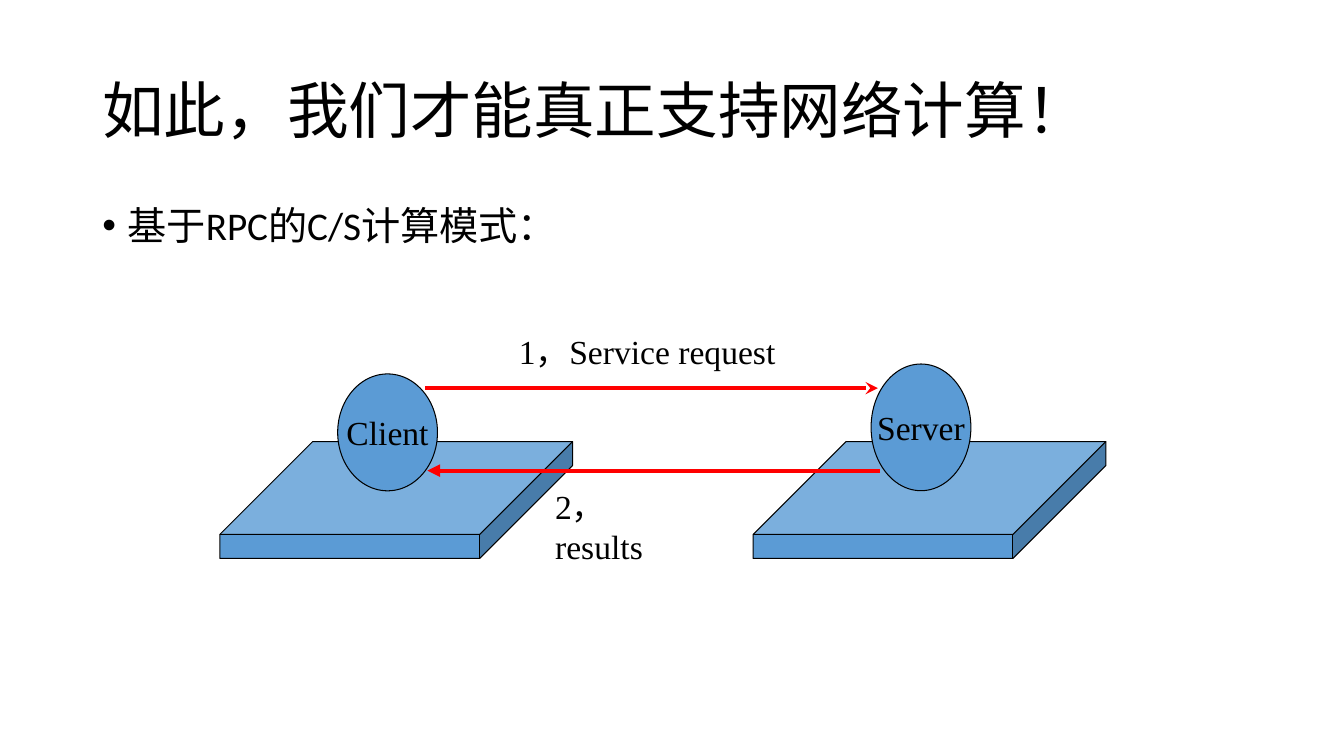
from lxml import etree
from pptx import Presentation
from pptx.dml.color import RGBColor
from pptx.enum.shapes import MSO_CONNECTOR, MSO_SHAPE
from pptx.enum.text import MSO_ANCHOR, PP_ALIGN
from pptx.oxml.ns import qn
from pptx.util import Pt

CUBE = MSO_SHAPE.CUBE
ELLIPSE = MSO_SHAPE.OVAL
STRAIGHT = MSO_CONNECTOR.STRAIGHT
TOP = MSO_ANCHOR.TOP
MIDDLE = MSO_ANCHOR.MIDDLE
LEFT = PP_ALIGN.LEFT
CENTER = PP_ALIGN.CENTER


def color(value):
    return RGBColor.from_string(value)


def write_text(shape, text, size=24, font="Times New Roman", anchor=TOP,
               align=LEFT, wrap=True, line_spacing=1.0, bullet=None, indent=18):
    frame = shape.text_frame
    frame.word_wrap = wrap
    frame.vertical_anchor = anchor
    paragraph = frame.paragraphs[0]
    paragraph.text = text
    paragraph.alignment = align
    paragraph.line_spacing = line_spacing
    if bullet:
        properties = paragraph._p.get_or_add_pPr()
        properties.set("marL", str(Pt(indent)))
        properties.set("indent", str(-Pt(indent)))
        etree.SubElement(properties, qn("a:buFont")).set("typeface", "Arial")
        etree.SubElement(properties, qn("a:buChar")).set("char", bullet)
    run_font = paragraph.runs[0].font
    run_font.size = Pt(size)
    run_font.name = font
    run_font.color.rgb = color("000000")


class SlideBuilder:
    """Draws elements in one shared style on the current slide."""

    fill = "5B9BD5"
    outline = "000000"
    arrow_color = "FF0000"

    def __init__(self, slide):
        self.shapes = slide.shapes

    def text(self, left, top, width, height, text, **style):
        box = self.shapes.add_textbox(Pt(left), Pt(top), Pt(width), Pt(height))
        write_text(box, text, **style)

    def solid(self, kind, left, top, width, height):
        shape = self.shapes.add_shape(kind, Pt(left), Pt(top), Pt(width), Pt(height))
        shape.shadow.inherit = False
        shape.fill.solid()
        shape.fill.fore_color.rgb = color(self.fill)
        shape.line.color.rgb = color(self.outline)
        shape.line.width = Pt(0.75)
        return shape

    def platform(self, left):
        self.solid(CUBE, left, 315.4, 252, 83.5).adjustments[0] = 0.795

    def node(self, left, top, height, name):
        ellipse = self.solid(ELLIPSE, left, top, 71.3, height)
        write_text(ellipse, name, anchor=MIDDLE, align=CENTER, wrap=False)

    def arrow(self, start, end, y, head):
        connector = self.shapes.add_connector(STRAIGHT, Pt(start), Pt(y), Pt(end), Pt(y))
        connector.line.color.rgb = color(self.arrow_color)
        connector.line.width = Pt(3)
        line = connector.line._get_or_add_ln()
        etree.SubElement(line, qn("a:tailEnd")).set("type", head)
        etree.SubElement(connector._element.spPr, qn("a:effectLst"))


def main():
    presentation = Presentation()
    presentation.slide_width = Pt(960)
    presentation.slide_height = Pt(540)
    slide = presentation.slides.add_slide(presentation.slide_layouts[6])
    builder = SlideBuilder(slide)

    builder.text(66, 28.8, 828, 104.4, "如此，我们才能真正支持网络计算！",
                 size=44, font="Calibri", anchor=MIDDLE, line_spacing=0.9)
    builder.text(66, 144, 828, 342.7, "基于RPC的C/S计算模式：",
                 size=28, font="Calibri", line_spacing=0.9, bullet="•")

    client_left, server_left = 157, 538
    for left in (client_left, server_left):
        builder.platform(left)
    node_offset = 84.2
    builder.node(client_left + node_offset, 267.1, 83.5, "Client")
    builder.node(server_left + node_offset, 260, 90.5, "Server")

    builder.arrow(303.8, 627.1, 277.2, "stealth")
    builder.arrow(628.6, 305.3, 336.2, "triangle")
    builder.text(389.5, 343.4, 86, 41.8, "2，results")
    builder.text(363.6, 232.6, 230, 41.8, "1，Service request")

    presentation.save("out.pptx")


if __name__ == "__main__":
    main()
